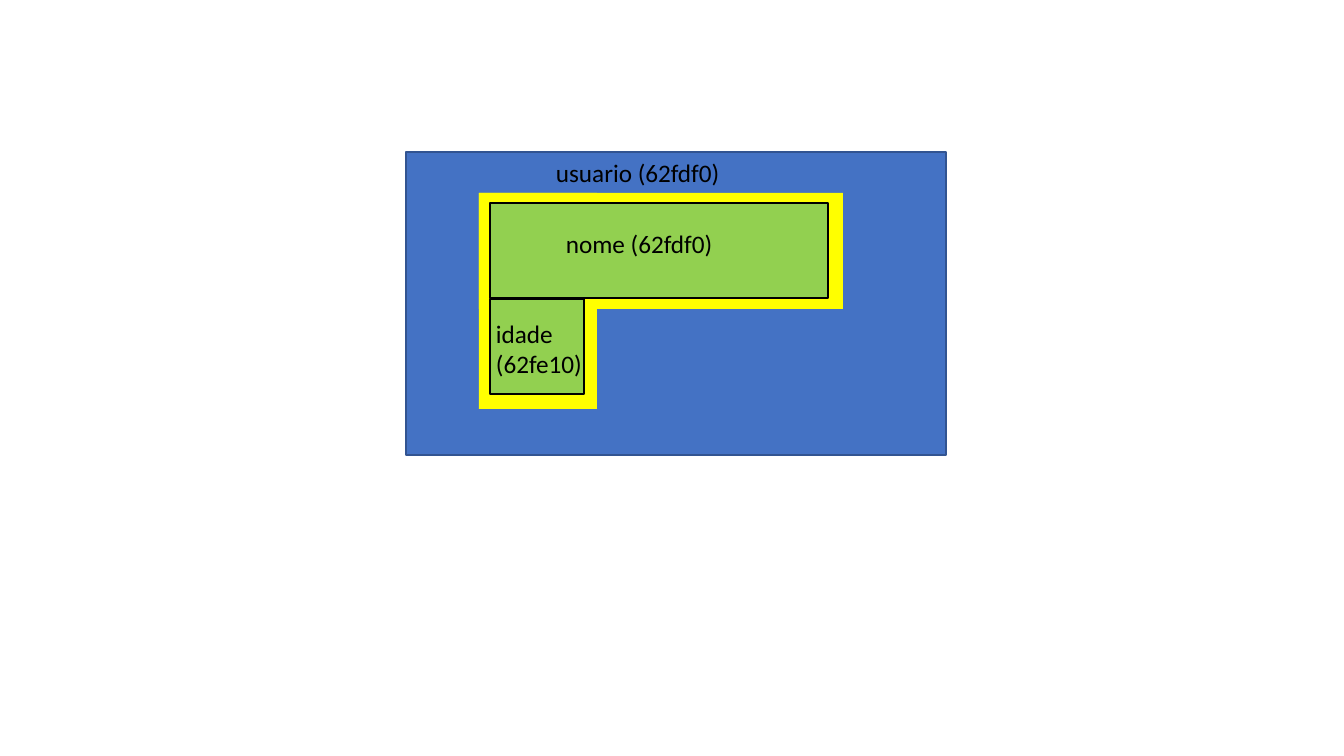
import dataclasses
import typing

import pptx
import pptx.dml.color
import pptx.enum.shapes
import pptx.util

EMU_PER_PIXEL = 914400 / 100.8
BLUE, DARK_BLUE = "4472C4", "325491"
YELLOW, GREEN, BLACK = "FFFF00", "92D050", "000000"


@dataclasses.dataclass
class Block:
    left: int
    top: int
    width: int
    height: int
    fill: str
    line: typing.Optional[str] = None


@dataclasses.dataclass
class Label:
    left: int
    top: int
    width: int
    height: int
    text: str


def pixels(count: int) -> pptx.util.Emu:
    return pptx.util.Emu(round(count * EMU_PER_PIXEL))


def bounds(item: typing.Union[Block, Label]) -> typing.List[pptx.util.Emu]:
    return [pixels(n) for n in (item.left, item.top, item.width, item.height)]


def color(hex_code: str) -> pptx.dml.color.RGBColor:
    return pptx.dml.color.RGBColor.from_string(hex_code)


def draw_block(slide, block: Block) -> None:
    shape = slide.shapes.add_shape(
        pptx.enum.shapes.MSO_SHAPE.RECTANGLE, *bounds(block))
    shape.shadow.inherit = False
    shape.fill.solid()
    shape.fill.fore_color.rgb = color(block.fill)
    if block.line is None:
        shape.line.fill.background()
    else:
        shape.line.color.rgb = color(block.line)
        shape.line.width = pptx.util.Pt(1)


def draw_label(slide, label: Label) -> None:
    text_frame = slide.shapes.add_textbox(*bounds(label)).text_frame
    text_frame.word_wrap = True
    run = text_frame.paragraphs[0].add_run()
    run.text = label.text
    run.font.name = "Calibri"
    run.font.size = pptx.util.Pt(18)
    run.font.color.rgb = color(BLACK)


presentation = pptx.Presentation()
presentation.slide_width = pixels(1344)
presentation.slide_height = pixels(756)
slide = presentation.slides.add_slide(presentation.slide_layouts[6])

# Memory area, the yellow outline of the struct, then its two fields
BLOCKS = [
    Block(406, 152, 540, 303, BLUE, DARK_BLUE),
    Block(479, 193, 118, 216, YELLOW),
    Block(479, 193, 364, 116, YELLOW),
    Block(490, 203, 338, 95, GREEN, BLACK),
    Block(490, 299, 94, 95, GREEN, BLACK),
]
for block in BLOCKS:
    draw_block(slide, block)

# Variable names with their addresses
LABELS = [
    Label(546, 152, 226, 40, "usuario (62fdf0)"),
    Label(556, 223, 226, 40, "nome (62fdf0)"),
    Label(486, 313, 156, 72, "idade (62fe10)"),
]
for label in LABELS:
    draw_label(slide, label)

presentation.save("out.pptx")
